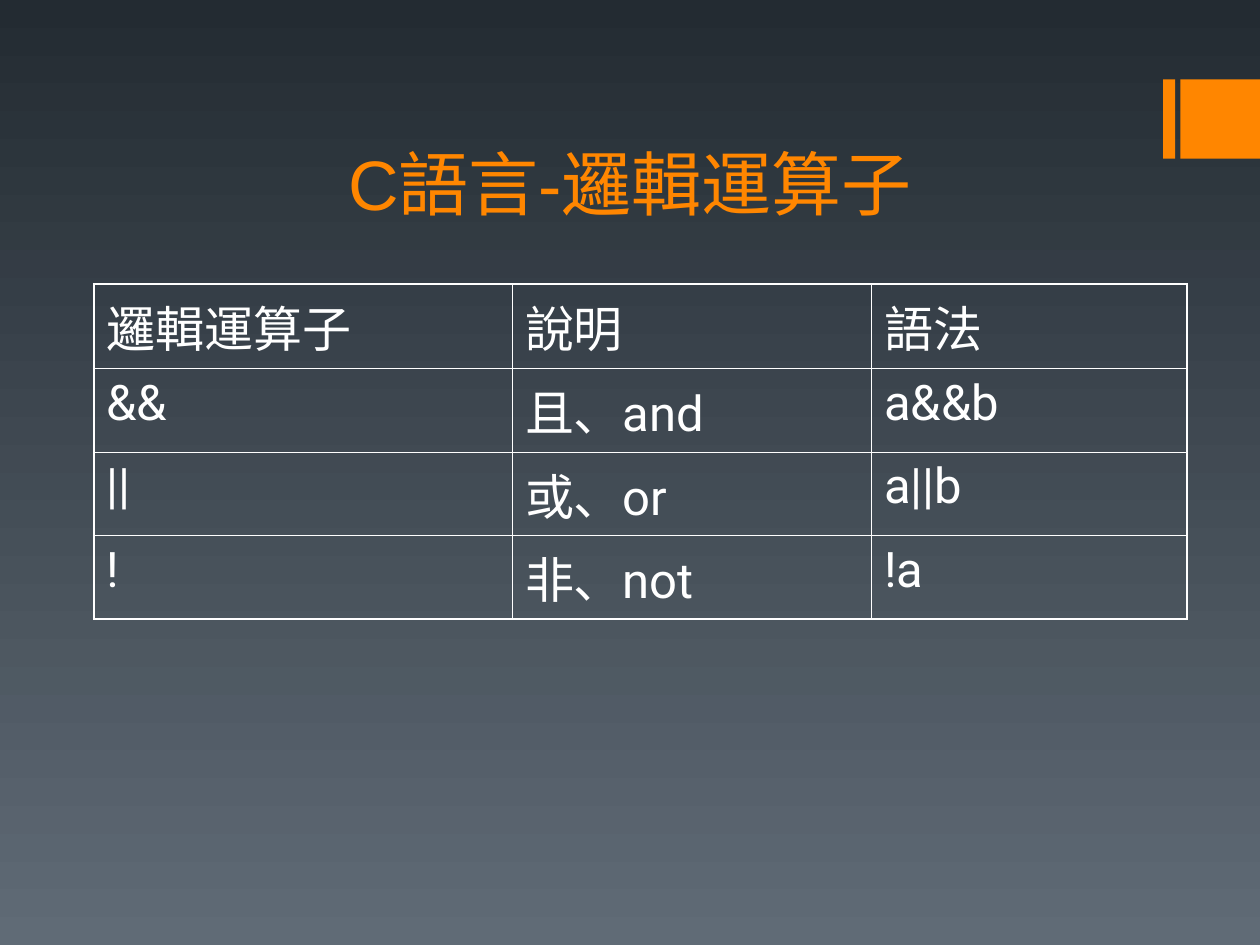
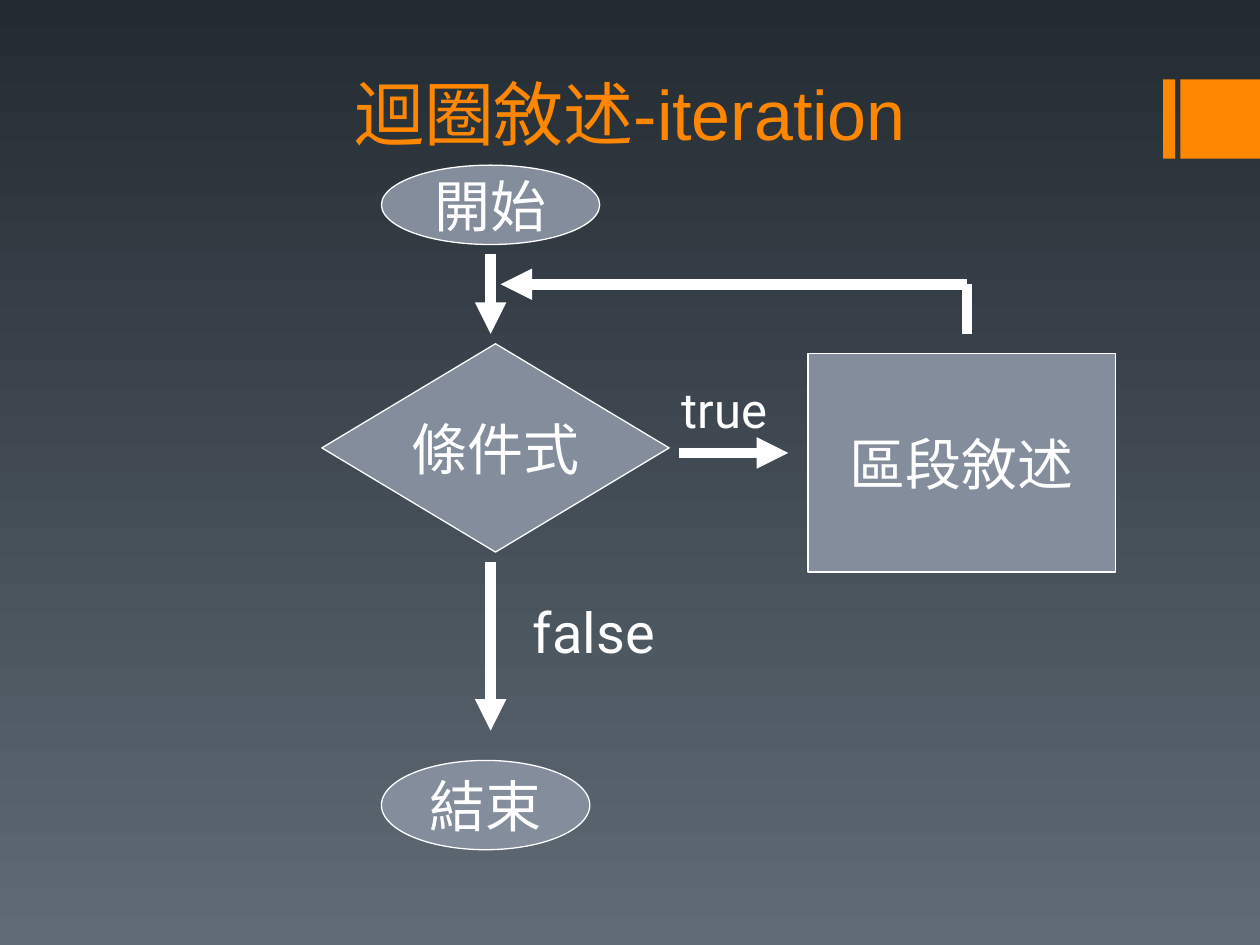
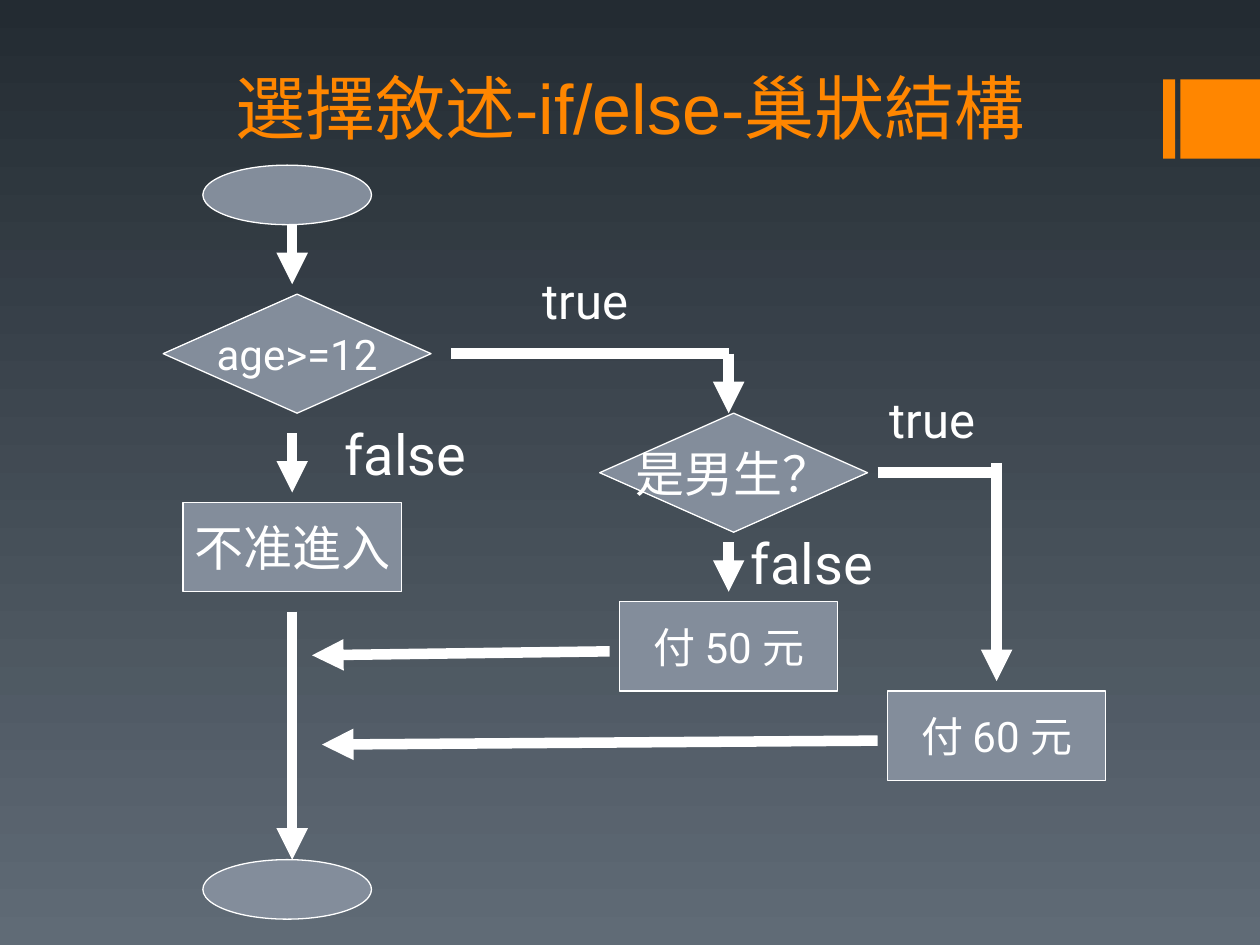
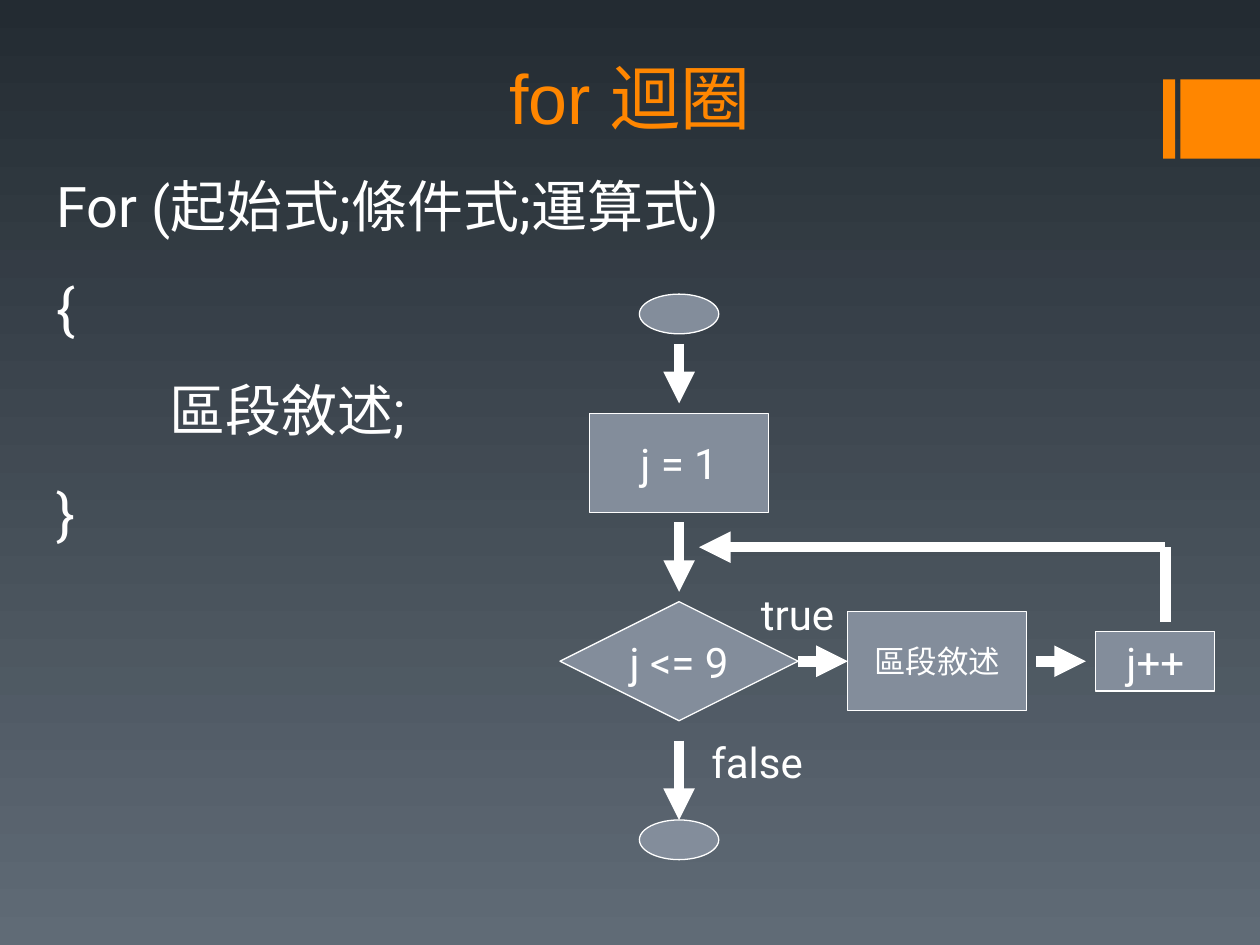
from lxml import etree
from pptx import Presentation
from pptx.dml.color import RGBColor
from pptx.enum.shapes import MSO_CONNECTOR, MSO_SHAPE as SHAPE
from pptx.enum.text import MSO_ANCHOR as ANCHOR, MSO_AUTO_SIZE as FIT, PP_ALIGN as ALIGN
from pptx.oxml.ns import qn
from pptx.util import Cm, Inches, Pt

ORANGE = RGBColor(0xFF, 0x86, 0x00)
WHITE = RGBColor(0xFF, 0xFF, 0xFF)
STEEL = RGBColor(0x83, 0x8D, 0x9B)
NIGHT = RGBColor(0x23, 0x2B, 0x32)
SLATE = RGBColor(0x60, 0x6B, 0x76)
UNIT, LEFT, TOP = Cm(0.2), Cm(0.09), Cm(0.13)
OVAL, DECISION, PROCESS = SHAPE.OVAL, SHAPE.FLOWCHART_DECISION, SHAPE.FLOWCHART_PROCESS


def at(col, row, cols=0, rows=0):
    return (int(LEFT + col * UNIT), int(TOP + row * UNIT), int(cols * UNIT), int(rows * UNIT))


def write(tf, text, size, align=ALIGN.LEFT, font="Roboto", color=WHITE):
    tf.text = text
    for p in tf.paragraphs:
        p.alignment = align
        for r in p.runs:
            r.font.name, r.font.size = font, Pt(size)
            r.font.color.rgb = color


prs = Presentation()
prs.slide_width, prs.slide_height = Inches(10), Inches(7.5)
master = prs.slide_master
fill = master.background.fill
fill.gradient()
fill.gradient_angle = 270
for stop, color in zip(fill.gradient_stops, (NIGHT, SLATE)):
    stop.color.rgb = color

titles = [
    ("C語言-邏輯運算子", 3.4, 19.2),
    ("迴圈敘述-iteration", 2, 13.6),
    ("選擇敘述-if/else-巢狀結構", 3.4, 11.6),
    ("for 迴圈", 3.4, 10.5),
]
slides = []
for text, row, rows in titles:
    s = prs.slides.add_slide(prs.slide_layouts[5])
    title = s.shapes.title
    title.left, title.top, title.width, title.height = at(5.9, row, 114.3, rows)
    tf = title.text_frame
    tf.auto_size, tf.vertical_anchor = FIT.NONE, ANCHOR.BOTTOM
    write(tf, text, 40, ALIGN.CENTER, "Arial", ORANGE)
    slides.append(s)

for col, cols in ((116.8, 1.2), (118.54, 8)):
    bar = slides[0].shapes.add_shape(SHAPE.RECTANGLE, *at(col, 7.35, cols, 8))
    bar.shadow.inherit = False
    bar.fill.solid()
    bar.fill.fore_color.rgb = ORANGE
    bar.line.fill.background()
    master.shapes._spTree.append(bar._element)

operators = [
    ("邏輯運算子", "說明", "語法"),
    ("&&", "且、and", "a&&b"),
    ("||", "或、or", "a||b"),
    ("!", "非、not", "!a"),
]
widths, heights = (42.2, 36.2, 31.8), (8.5, 8.1, 8.1, 8.1)
table = slides[0].shapes.add_table(4, 3, *at(9, 28, sum(widths), sum(heights))).table
table.first_row = table.horz_banding = False
for column, cols in zip(table.columns, widths):
    column.width = int(cols * UNIT)
for i, texts in enumerate(operators):
    table.rows[i].height = int(heights[i] * UNIT)
    for j, text in enumerate(texts):
        cell = table.cell(i, j)
        write(cell.text_frame, text, 28)
        tcPr = cell._tc.get_or_add_tcPr()
        edges = {"a:lnL": j == 0, "a:lnR": j == 2, "a:lnT": i == 0, "a:lnB": i == 3}
        for tag, outer in edges.items():
            ln = etree.SubElement(tcPr, qn(tag), w=str(Pt(1.08 if outer else 0.45)))
            solid = etree.SubElement(ln, qn("a:solidFill"))
            etree.SubElement(solid, qn("a:srgbClr"), val=str(WHITE))
        cell.fill.background()

charts = [
    (
        slides[1],
        [
            (DECISION, 32, 34, 35, 21, "條件式", 32),
            (PROCESS, 81, 35, 31, 22, "區段敘述", 32),
            (OVAL, 38, 76, 21, 9, "結束", 32),
            (OVAL, 38, 16, 22, 8, "開始", 32),
        ],
        [
            (68, 45, 79, 45, True),
            (49, 25, 49, 33, True),
            (49, 56, 49, 73, True),
            (97, 28, 97, 33, False),
            (97, 28, 50, 28, True),
        ],
        [(67, 37, 13, "true", 28), (52, 59, 23, "false", 32)],
    ),
    (
        slides[2],
        [
            (OVAL, 20, 16, 17, 6, "", 24),
            (DECISION, 16, 29, 27, 12, "age>=12", 24),
            (PROCESS, 18, 50, 22, 9, "不准進入", 28),
            (DECISION, 60, 41, 27, 12, "是男生？", 28),
            (PROCESS, 62, 60, 22, 9, "付 50 元", 24),
            (PROCESS, 89, 69, 22, 9, "付 60 元", 24),
            (OVAL, 20, 86, 17, 6, "", 24),
        ],
        [
            (29, 22, 29, 28, True),
            (29, 43, 29, 49, True),
            (29, 61, 29, 86, True),
            (100, 46, 100, 68, True),
            (88, 47, 100, 47, False),
            (45, 35, 73, 35, False),
            (73, 35, 73, 41, True),
            (73, 54, 73, 59, True),
            (88, 74, 32, 74.4, True),
            (61, 65, 31, 65.4, True),
        ],
        [
            (88, 38, 13, "true", 28),
            (33, 41, 23, "false", 32),
            (53, 26, 13, "true", 28),
            (74, 52, 23, "false", 32),
        ],
    ),
    (
        slides[3],
        [
            (DECISION, 56, 60, 24, 12, "j <= 9", 24),
            (PROCESS, 59, 41, 18, 10, "j = 1", 24),
            (PROCESS, 85, 61, 18, 10, "區段敘述", 18),
            (PROCESS, 110, 63, 12, 6, "j++", 24),
            (OVAL, 64, 29, 8, 4, "", 24),
            (OVAL, 64, 82, 8, 4, "", 24),
        ],
        [
            (68, 34, 68, 40, True),
            (68, 52, 68, 59, True),
            (68, 74, 68, 82, True),
            (80, 66, 85, 66, True),
            (104, 66, 109, 66, True),
            (117, 62, 117, 54.5, False),
            (117, 54.5, 70, 54.5, True),
        ],
        [(75, 58, 12, "true", 24), (70, 73, 12, "false", 24)],
    ),
]

for s, boxes, lines, labels in charts:
    sides = {}
    for kind, col, row, cols, rows, text, size in boxes:
        sp = s.shapes.add_shape(kind, *at(col, row, cols, rows))
        sp.shadow.inherit = False
        sp.fill.solid()
        sp.fill.fore_color.rgb = STEEL
        sp.line.color.rgb, sp.line.width = WHITE, Pt(0.75)
        tf = sp.text_frame
        tf.word_wrap, tf.vertical_anchor = False, ANCHOR.MIDDLE
        if text:
            write(tf, text, size, ALIGN.CENTER)
        sides[col + cols / 2, row] = sp, 0
        if kind != OVAL:
            sides[col, row + rows / 2] = sp, 1
            sides[col + cols / 2, row + rows] = sp, 2
            sides[col + cols, row + rows / 2] = sp, 3

    for x1, y1, x2, y2, arrow in lines:
        line = s.shapes.add_connector(MSO_CONNECTOR.STRAIGHT, *at(x1, y1)[:2], *at(x2, y2)[:2])
        line.line.color.rgb, line.line.width = WHITE, Pt(6)
        if arrow:
            etree.SubElement(line.line._get_or_add_ln(), qn("a:tailEnd"), type="triangle")
        etree.SubElement(line._element.spPr, qn("a:effectLst"))
        if (x1, y1) in sides:
            line.begin_connect(*sides[x1, y1])
        if (x2, y2) in sides:
            line.end_connect(*sides[x2, y2])

    for col, row, cols, text, size in labels:
        tf = s.shapes.add_textbox(*at(col, row, cols, size / 4)).text_frame
        tf.word_wrap, tf.auto_size = True, FIT.SHAPE_TO_FIT_TEXT
        write(tf, text, size)

code = "For (起始式;條件式;運算式)\n{\n         區段敘述;\n}"
tf = slides[3].shapes.add_textbox(*at(4, 16, 76, 45.7)).text_frame
tf.word_wrap, tf.auto_size = True, FIT.SHAPE_TO_FIT_TEXT
write(tf, code, 32)
for p in tf.paragraphs[1:]:
    p.space_before = Pt(20)

prs.save("out.pptx")
